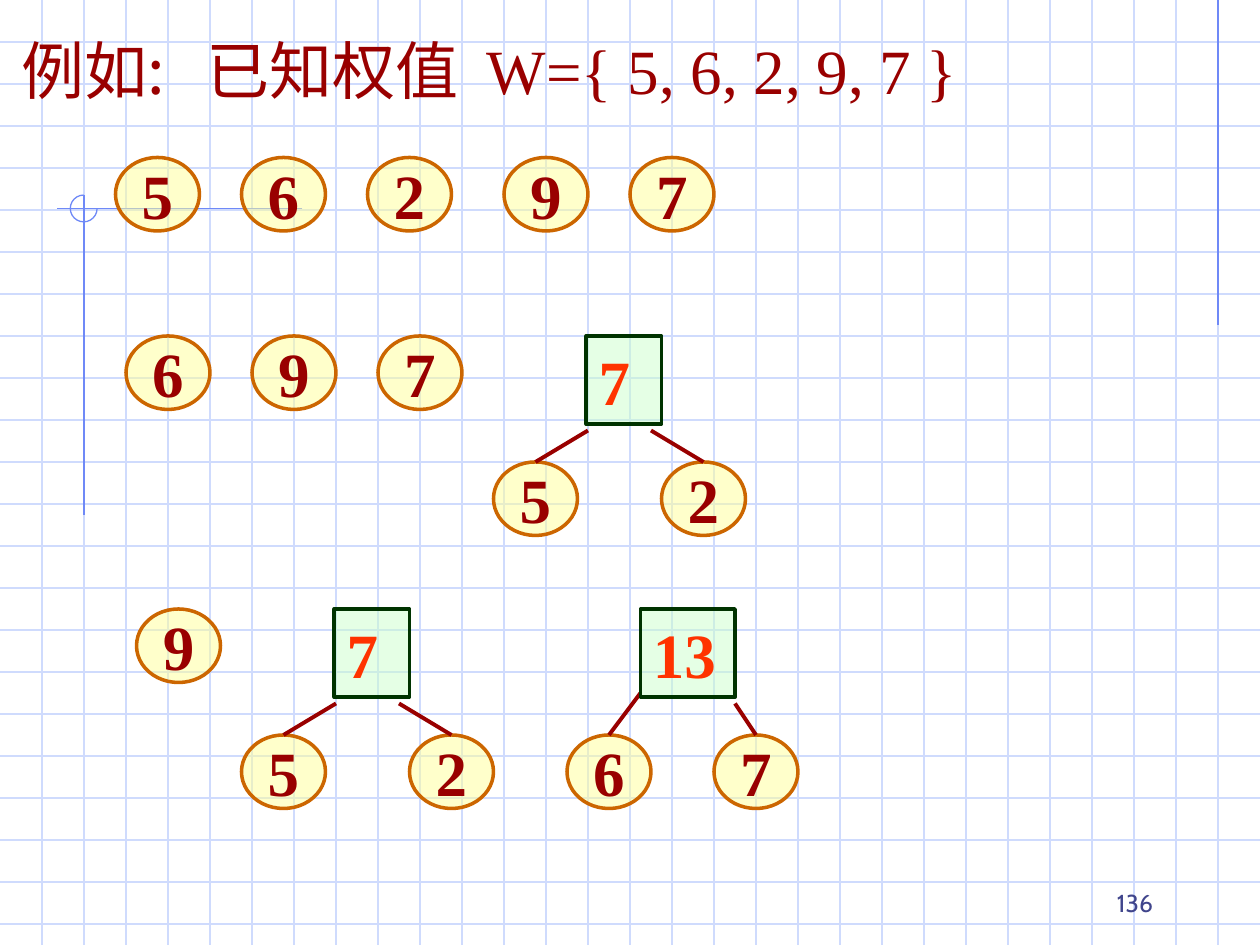
import pptx
import pptx.util
import pptx.dml.color
import pptx.enum.shapes
import pptx.enum.text
import pptx.oxml.ns
import lxml.etree

Pt = pptx.util.Pt
RGB = pptx.dml.color.RGBColor
SHAPE = pptx.enum.shapes.MSO_SHAPE
ANCHOR = pptx.enum.text.MSO_ANCHOR
ALIGN = pptx.enum.text.PP_ALIGN
qn = pptx.oxml.ns.qn

GRID = RGB(0xCF, 0xDB, 0xFD)
ACCENT = RGB(0x6F, 0x89, 0xF7)
DARK_RED = RGB(0x99, 0x00, 0x00)
ORANGE = RGB(0xCC, 0x66, 0x00)
YELLOW = RGB(0xFF, 0xFF, 0x99)
MINT = RGB(0xCC, 0xFF, 0xCC)
DARK_GREEN = RGB(0x00, 0x33, 0x00)
BRIGHT_RED = RGB(0xFF, 0x33, 0x00)
INDIGO = RGB(0x40, 0x45, 0x8C)

SERIF = "Times New Roman"
CJK = "Noto Sans CJK SC"
WIDTH, HEIGHT = 720, 540
STEP = 24
LEAF_W, LEAF_H = 48, 42
ROOT_H = 50.4
LEAF_DROP = 72


def add_line(s, x1, y1, x2, y2, color, weight):
    line = s.shapes.add_connector(pptx.enum.shapes.MSO_CONNECTOR.STRAIGHT,
                                  Pt(x1), Pt(y1), Pt(x2), Pt(y2))
    line.line.color.rgb = color
    line.line.width = Pt(weight)
    lxml.etree.SubElement(line._element.spPr, qn("a:effectLst"))


def add_node(s, kind, box, text, fill, outline, color):
    """Half-transparent shape holding one weight."""
    sp = s.shapes.add_shape(kind, *map(Pt, box))
    sp.shadow.inherit = False
    sp.fill.solid()
    sp.fill.fore_color.rgb = fill
    rgb = sp._element.spPr.find(qn("a:solidFill"))[0]
    lxml.etree.SubElement(rgb, qn("a:alpha"), val="50000")
    sp.line.color.rgb = outline
    sp.line.width = Pt(2)
    tf = sp.text_frame
    tf.text = text
    p = tf.paragraphs[0]
    p.font.name, p.font.size, p.font.bold = SERIF, Pt(36), True
    p.font.color.rgb = color
    return tf


def add_leaf(s, x, y, weight):
    tf = add_node(s, SHAPE.OVAL, (x, y, LEAF_W, LEAF_H), weight,
                  YELLOW, ORANGE, DARK_RED)
    tf.word_wrap = False
    tf.vertical_anchor = ANCHOR.MIDDLE
    tf.paragraphs[0].alignment = ALIGN.CENTER


def add_tree(s, box, total, leaves, starts):
    """Root in box; leaves are (x offset, weight), starts are edge offsets."""
    x, y = box[:2]
    for (dx, weight), (sx, sy) in zip(leaves, starts):
        add_leaf(s, x + dx, y + LEAF_DROP, weight)
        add_line(s, x + sx, y + sy, x + dx + LEAF_W / 2, y + LEAF_DROP,
                 DARK_RED, 2.25)
    tf = add_node(s, SHAPE.RECTANGLE, box, total, MINT, DARK_GREEN, BRIGHT_RED)
    tf.word_wrap = True
    tf.vertical_anchor = ANCHOR.TOP
    tf.paragraphs[0].alignment = ALIGN.LEFT


def add_tree_of_5_and_2(s, x, y):
    add_tree(s, (x, y, 43, ROOT_H), "7", [(-53, "5"), (43, "2")],
             [(1, 54), (37, 54)])


def add_background(s, width, height):
    # Squared paper
    for y in range(STEP, height, STEP):
        add_line(s, 0, y, width, y, GRID, 0.75)
    for x in range(STEP, width, STEP):
        add_line(s, x, 0, x, height, GRID, 0.75)
    # Accent lines and corner arc
    for ends in [(696, 0, 696, 186), (172.8, 119.2, 32.4, 119.2),
                 (48, 111.6, 48, 294.5)]:
        add_line(s, *ends, ACCENT, 0.75)
    arc = s.shapes.add_shape(SHAPE.ARC, Pt(40.2), Pt(111.5), Pt(15.3), Pt(15.3))
    arc.shadow.inherit = False
    arc.adjustments[0], arc.adjustments[1] = 0, 162
    arc.fill.background()
    arc.line.color.rgb = ACCENT
    arc.line.width = Pt(0.75)


def add_title(s, box):
    tf = s.shapes.add_textbox(*map(Pt, box)).text_frame
    tf.word_wrap = False
    p = tf.paragraphs[0]
    p.font.size = Pt(36)
    p.font.color.rgb = DARK_RED
    # Text, font, letter spacing in points
    for text, font, spacing in [("例如", CJK, 0), (": ", CJK, 8),
                                ("已知权值", CJK, 0), (" ", CJK, 8),
                                ("W={ 5, 6, 2, 9, 7 }", SERIF, 0)]:
        r = p.add_run()
        r.text = text
        r.font.name = font
        r.font.size = Pt(36)
        r.font.color.rgb = DARK_RED
        rpr = r._r.get_or_add_rPr()
        rpr.set("spc", str(spacing * 100))
        lxml.etree.SubElement(rpr, qn("a:ea"), typeface=font)


def add_page_number(s, box):
    tf = s.shapes.add_textbox(*map(Pt, box)).text_frame
    tf.word_wrap = True
    tf.vertical_anchor = ANCHOR.BOTTOM
    tf.text = "136"
    p = tf.paragraphs[0]
    p.alignment = ALIGN.RIGHT
    p.font.name, p.font.size = "Cabin", Pt(14)
    p.font.color.rgb = INDIGO


def add_forest(s, top, leaves):
    for x, weight in leaves:
        add_leaf(s, x, top, weight)


def main():
    prs = pptx.Presentation()
    prs.slide_width, prs.slide_height = Pt(WIDTH), Pt(HEIGHT)
    s = prs.slides.add_slide(prs.slide_layouts[6])
    add_background(s, WIDTH, HEIGHT)
    add_title(s, (5, 14.4, 579, ROOT_H))

    # Step 1: single weights
    add_forest(s, 90, [(66, "5"), (138, "6"), (210, "2"), (288, "9"), (360, "7")])

    # Step 2: 5 and 2 merged
    add_forest(s, 192, [(72, "6"), (144, "9"), (216, "7")])
    add_tree_of_5_and_2(s, 335, 192)

    # Step 3: 6 and 7 merged
    add_forest(s, 348, [(78, "9")])
    add_tree_of_5_and_2(s, 191, 348)
    add_tree(s, (366, 348, 54, ROOT_H), "13", [(-42, "6"), (42, "7")],
             [(0, 48), (54, 54)])

    add_page_number(s, (516, 492, 150, 36))
    prs.save("out.pptx")


if __name__ == "__main__":
    main()
